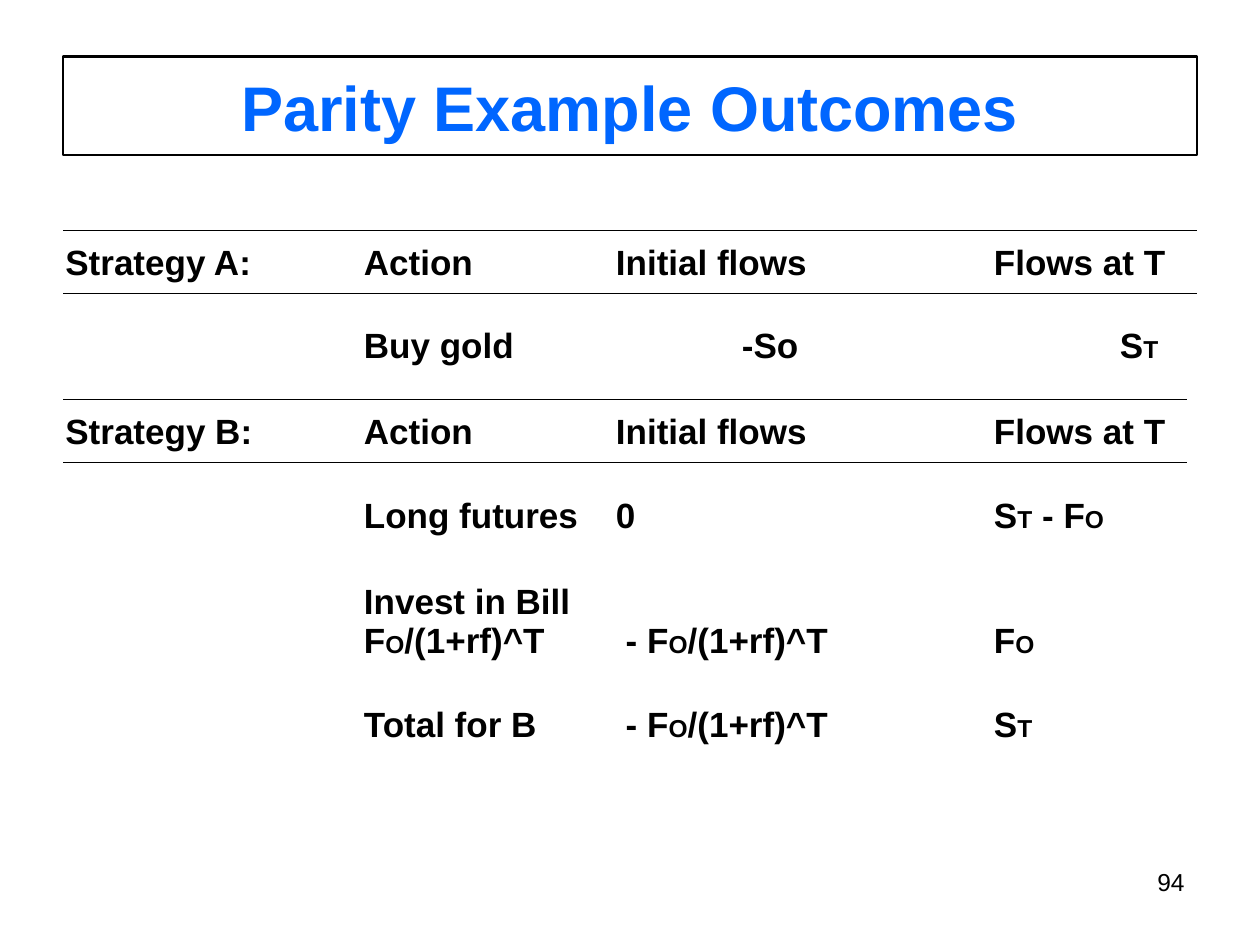
from dataclasses import dataclass
from lxml.etree import SubElement as Sub
from pptx import Presentation
from pptx.dml.color import RGBColor as Rgb
from pptx.enum.shapes import MSO_CONNECTOR as Conn, MSO_SHAPE as Shape
from pptx.enum.text import MSO_ANCHOR as Anchor, PP_ALIGN as Align
from pptx.oxml.ns import qn
from pptx.util import Inches, Pt

WIDE, HIGH = 10, 7.5
HUES = {"ink": "000000", "title": "0066FF"}
BASE = 2.37  # first tab stop; later stops sit whole inches beyond it
HEAD, SHIFT = (0, 2, 5), (0, 3, 6)
BIG, SMALL = 20, 14


@dataclass
class Row:
    cells: tuple[str, ...]  # text between bars is set small
    gap: float = 28.5
    stops: tuple[int, ...] = HEAD


@dataclass
class Rule:
    top: float
    end: float
    width: float = 0.75


LABELS = ("Action", "Initial flows", "Flows at T")
COST = " - F|O|/(1+rf)^T"
ROWS = [
    Row(("Strategy A:", *LABELS), 0),
    Row(("", "Buy gold", "-So", "S|T"), stops=SHIFT),
    Row(("Strategy B:", *LABELS), 30),
    Row(("", "Long futures", "0", "S|T| - F|O")),
    Row(("", "Invest in Bill"), 30),
    Row(("", "F|O|/(1+rf)^T", COST, "F|O"), 3.5),
    Row(("", "Total for B", COST, "S|T")),
]
RULES = [Rule(1.83, 9.5), Rule(2.33, 9.5, 1), Rule(3.17, 9.42), Rule(3.67, 9.42)]


def box(slide, left: float, top: float, wide: float, high: float):
    """Add a wrapping text box and return its text frame."""
    area = [Inches(n) for n in (left, top, wide, high)]
    frame = slide.shapes.add_textbox(*area).text_frame
    frame.word_wrap = True
    return frame


def write(para, text: str, size: float, hue: str = "ink", bold: bool = True) -> None:
    run = para.add_run()
    run.text = text
    look = {"name": "Arial", "size": Pt(size), "bold": bold}
    for key, val in look.items():
        setattr(run.font, key, val)
    run.font.color.rgb = Rgb.from_string(HUES[hue])


def draw_title(slide, text: str) -> None:
    area = [Inches(n) for n in (0.05 * WIDE, 0.06 * HIGH, 0.9 * WIDE, 0.78)]
    pane = slide.shapes.add_shape(Shape.RECTANGLE, *area)
    pane.shadow.inherit = False
    pane.fill.background()
    pane.line.color.rgb = Rgb.from_string(HUES["ink"])
    pane.line.width = Pt(1.5)
    pane.text_frame.vertical_anchor = Anchor.MIDDLE
    para = pane.text_frame.paragraphs[0]
    para.alignment = Align.CENTER
    write(para, text, 36, "title")


def draw_row(para, row: Row) -> None:
    para.line_spacing = 0.8
    para.space_before = Pt(row.gap)
    # Tab stops align the cells in columns
    tabs = Sub(para._p.get_or_add_pPr(), qn("a:tabLst"))
    for stop in row.stops:
        Sub(tabs, qn("a:tab"), pos=str(Inches(BASE + stop)), algn="l")
    for i, part in enumerate("\t".join(row.cells).split("|")):
        write(para, part, SMALL if i % 2 else BIG)


def draw_rule(slide, rule: Rule) -> None:
    ends = [Inches(n) for n in (0.05 * WIDE, rule.top, rule.end, rule.top)]
    line = slide.shapes.add_connector(Conn.STRAIGHT, *ends)
    line.line.color.rgb = Rgb.from_string(HUES["ink"])
    line.line.width = Pt(rule.width)
    Sub(line._element.spPr, qn("a:effectLst"))


def main() -> None:
    deck = Presentation()
    deck.slide_width, deck.slide_height = Inches(WIDE), Inches(HIGH)
    slide = deck.slides.add_slide(deck.slide_layouts[6])

    # Page number
    page = box(slide, 7.17, 6.83, 2.33, 0.52).paragraphs[0]
    page.alignment = Align.RIGHT
    write(page, "94", 14, bold=False)

    draw_title(slide, "Parity Example Outcomes")

    # Strategy outcomes
    body = box(slide, 0.42, 1.92, 9.58, 4.92)
    for i, row in enumerate(ROWS):
        draw_row(body.add_paragraph() if i else body.paragraphs[0], row)

    for rule in RULES:
        draw_rule(slide, rule)

    deck.save("out.pptx")


if __name__ == "__main__":
    main()
